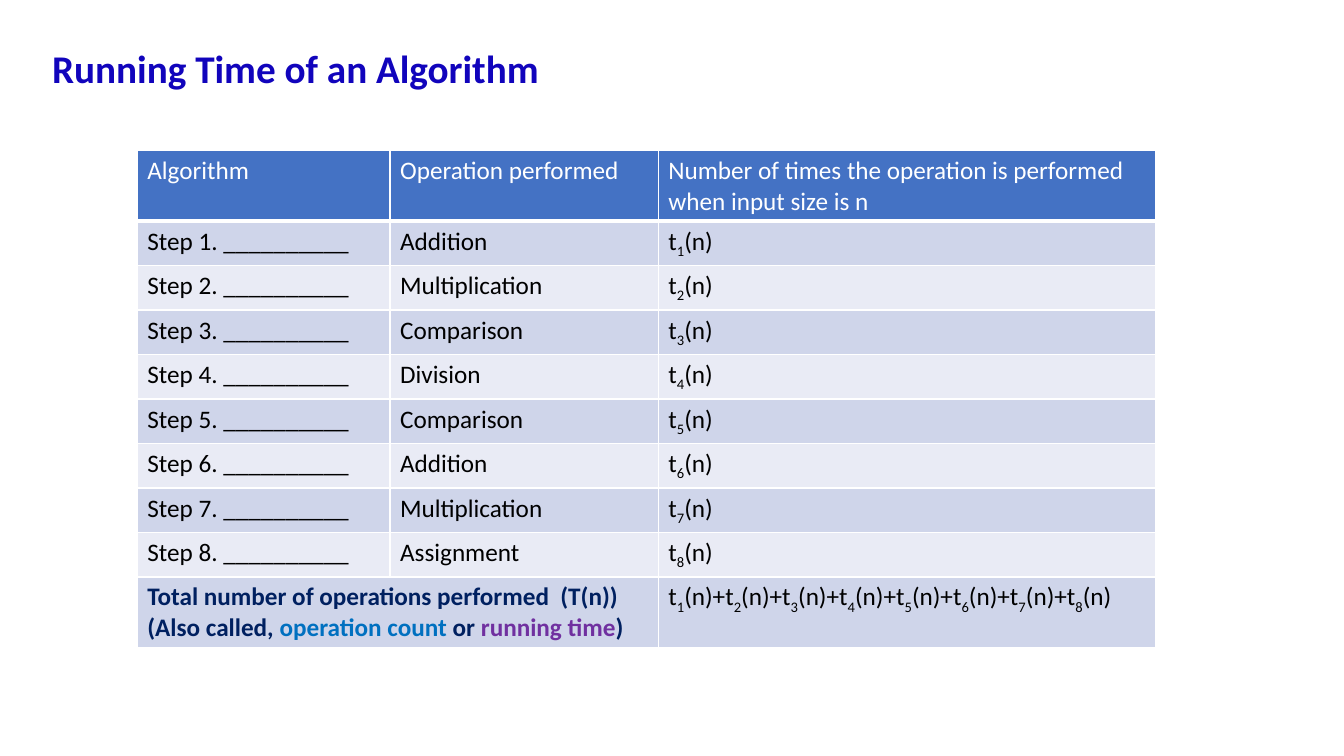
import pptx
import pptx.dml.color
import pptx.enum.text
import pptx.oxml
import pptx.oxml.ns
import pptx.util
from pptx.util import Cm

FONT = "Calibri"
WHITE, BLACK, NAVY = "FFFFFF", "000000", "002060"
HEADER_FILL = "4472C4"
BANDS = ("CFD5EA", "E9EBF5")
HEADINGS = (
    "Algorithm",
    "Operation performed",
    "Number of times the operation is performed when input size is n",
)
OPERATIONS = (
    "Addition", "Multiplication", "Comparison", "Division",
    "Comparison", "Addition", "Multiplication", "Assignment",
)
COL_WIDTHS = (Cm(6.37), Cm(6.76), Cm(12.54))
TALL_ROW, STEP_ROW = Cm(1.78), Cm(1.12)


def rgb(color):
    return pptx.dml.color.RGBColor.from_string(color)


def add_run(p, text, color=BLACK, size=18, bold=False, subscript=False):
    r = p.add_run()
    r.text = text
    r.font.name = FONT
    r.font.size = pptx.util.Pt(size)
    r.font.bold = bold
    r.font.color.rgb = rgb(color)
    if subscript:
        r._r.get_or_add_rPr().set("baseline", "-25000")


def add_counts(p, steps):
    """Write the sum of t(n) terms, each with its step as a subscript."""
    add_run(p, "t")
    for step in steps:
        add_run(p, str(step), subscript=True)
        add_run(p, "(n)" if step == steps[-1] else "(n)+t")


def style_cell(cell, fill, bottom=1):
    cell.fill.solid()
    cell.fill.fore_color.rgb = rgb(fill)
    tcPr = cell._tc.get_or_add_tcPr()
    for i, side in enumerate("LRTB"):
        width = pptx.util.Pt(bottom if side == "B" else 1)
        tcPr.insert(i, pptx.oxml.parse_xml(
            f'<a:ln{side} {pptx.oxml.ns.nsdecls("a")} w="{width}"><a:solidFill>'
            f'<a:srgbClr val="{WHITE}"/></a:solidFill></a:ln{side}>'))


def add_title(s, text):
    title = s.shapes.title
    title.left, title.top = Cm(1.06), Cm(1)
    title.width, title.height = Cm(12.9), Cm(1.45)
    tf = title.text_frame
    tf.word_wrap = False
    tf.auto_size = pptx.enum.text.MSO_AUTO_SIZE.SHAPE_TO_FIT_TEXT
    tf.vertical_anchor = pptx.enum.text.MSO_ANCHOR.TOP
    p = tf.paragraphs[0]
    p.alignment = pptx.enum.text.PP_ALIGN.LEFT
    add_run(p, text, "1104BC", 28, bold=True)


def add_total_label(tf):
    add_run(tf.paragraphs[0], "Total number of operations performed  (T(n))",
            NAVY, bold=True)
    p = tf.add_paragraph()
    for text, color in (
        ("(Also called, ", NAVY),
        ("operation count ", "0070C0"),
        ("or ", NAVY),
        ("running time", "7030A0"),
        (")", NAVY),
    ):
        add_run(p, text, color, bold=True)


def add_step_table(s):
    last = len(OPERATIONS) + 1
    heights = [TALL_ROW] + [STEP_ROW] * len(OPERATIONS) + [TALL_ROW]
    table = s.shapes.add_table(
        len(heights), len(COL_WIDTHS), Cm(3.46), Cm(3.79),
        sum(COL_WIDTHS), sum(heights)).table
    for column, width in zip(table.columns, COL_WIDTHS):
        column.width = width
    for i, (row, height) in enumerate(zip(table.rows, heights)):
        row.height = height
        for cell in row.cells:
            if i == 0:
                style_cell(cell, HEADER_FILL, bottom=3)
            else:
                style_cell(cell, BANDS[(i - 1) % 2])

    for col, heading in enumerate(HEADINGS):
        add_run(table.cell(0, col).text_frame.paragraphs[0], heading, WHITE)
    for step, operation in enumerate(OPERATIONS, 1):
        label, name, count = (
            cell.text_frame.paragraphs[0] for cell in table.rows[step].cells)
        add_run(label, f"Step {step}. " + "_" * 10)
        add_run(name, operation)
        add_counts(count, [step])

    table.cell(last, 0).merge(table.cell(last, 1))
    add_total_label(table.cell(last, 0).text_frame)
    add_counts(table.cell(last, 2).text_frame.paragraphs[0], range(1, last))


def main():
    prs = pptx.Presentation()
    prs.slide_width, prs.slide_height = Cm(33.87), Cm(19.05)
    s = prs.slides.add_slide(prs.slide_layouts[5])
    add_title(s, "Running Time of an Algorithm")
    add_step_table(s)
    prs.save("out.pptx")


if __name__ == "__main__":
    main()
